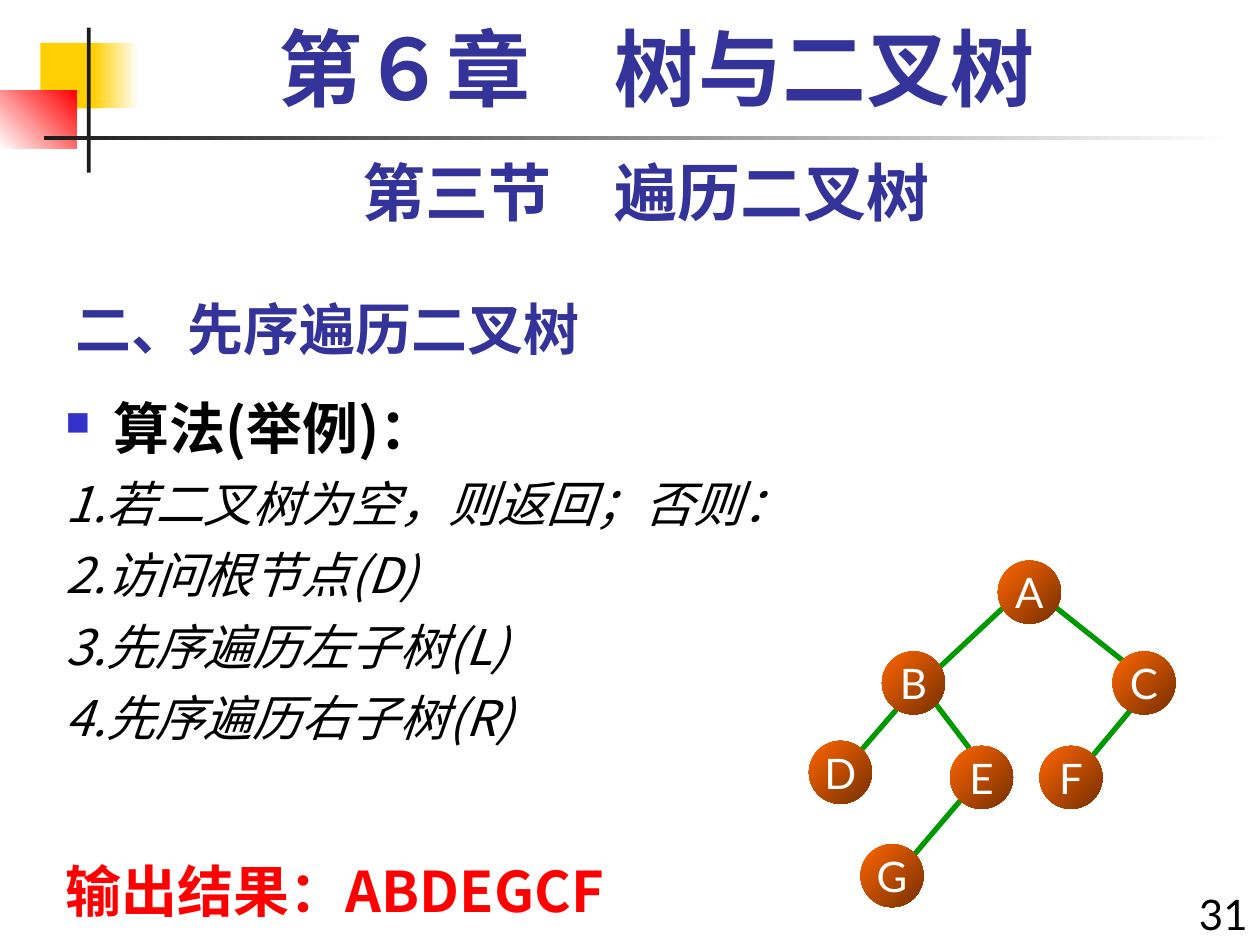
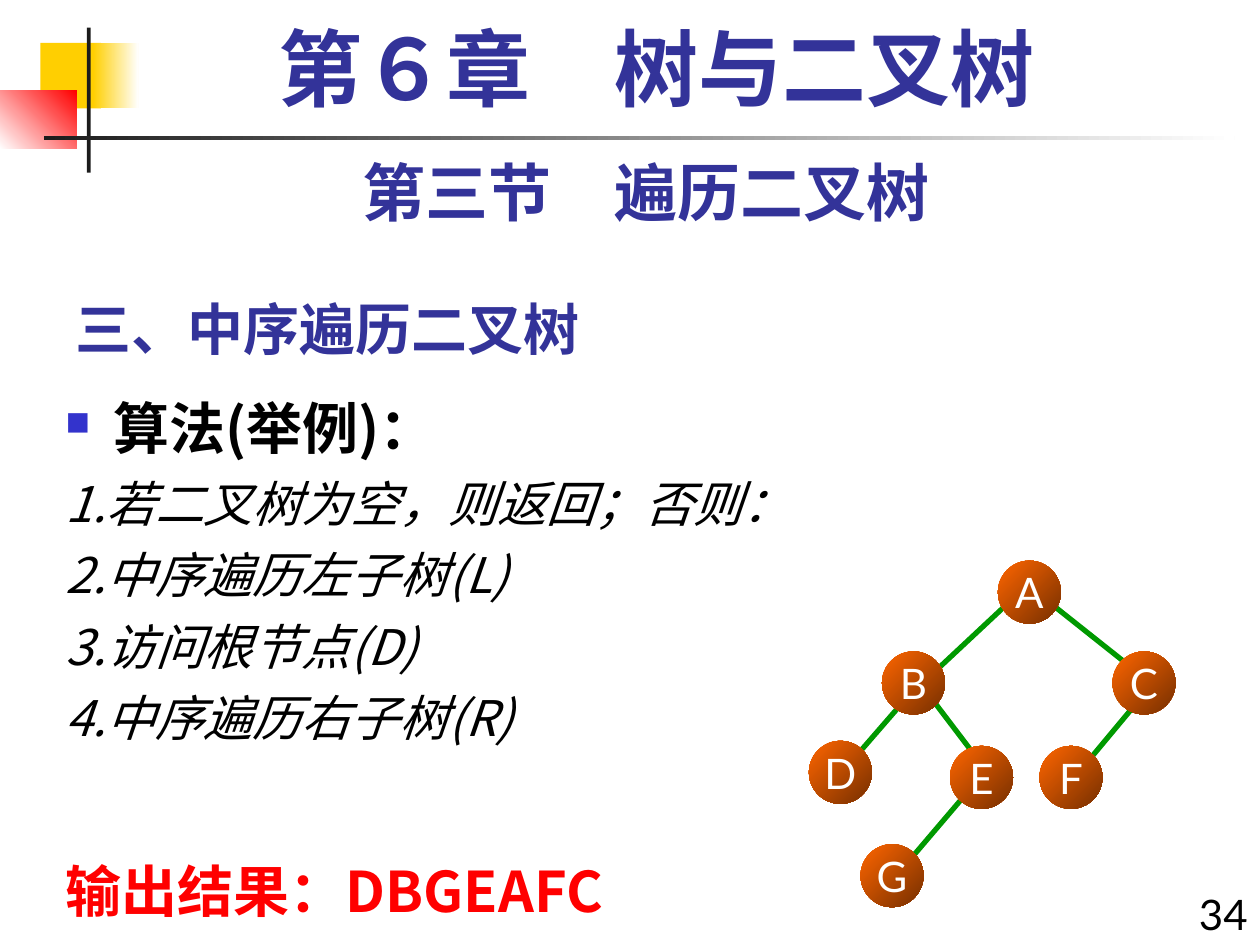
from dataclasses import dataclass

from lxml import etree
from pptx import Presentation
from pptx.dml.color import RGBColor
from pptx.enum.shapes import MSO_CONNECTOR, MSO_SHAPE
from pptx.enum.text import MSO_ANCHOR, PP_ALIGN
from pptx.oxml.ns import qn
from pptx.util import Inches, Pt

RECTANGLE = MSO_SHAPE.RECTANGLE
OVAL = MSO_SHAPE.OVAL
STRAIGHT = MSO_CONNECTOR.STRAIGHT
LEFT, CENTER, RIGHT = PP_ALIGN.LEFT, PP_ALIGN.CENTER, PP_ALIGN.RIGHT
TOP, MIDDLE, BOTTOM = MSO_ANCHOR.TOP, MSO_ANCHOR.MIDDLE, MSO_ANCHOR.BOTTOM


@dataclass(frozen=True)
class Theme:
    white: str = "FFFFFF"
    black: str = "000000"
    heading: str = "333399"
    bullet: str = "3333CC"
    result: str = "FF0000"
    yellow: str = "FFCF01"
    red: str = "FF0000"
    rule: str = "1C1C1C"
    edge: str = "009900"
    node_light: str = "FF6600"
    node_dark: str = "762F00"
    font: str = "Lato"
    body_font: str = "Noto Sans CJK SC"
    chapter_font: str = "Times New Roman"
    chapter_size: int = 48
    section_size: int = 36
    heading_size: int = 32
    step_size: int = 28
    small_size: int = 24
    line_factor: float = 1.08


THEME = Theme()
CHAPTER = "第６章　树与二叉树"
SECTION = "第三节　遍历二叉树"
TREE_BOX = (6.42, 4.45, 2.91, 2.75)
NODE_SIZE = 0.5
# Left and top of each node, relative to the tree box
NODES = {
    "A": (1.5, 0), "B": (0.58, 0.72), "C": (2.41, 0.72), "D": (0, 1.43),
    "E": (1.12, 1.47), "F": (1.83, 1.47), "G": (0.41, 2.25),
}
# Start and end of each edge, relative to the tree box
EDGES = [
    ((1.87, 0.3), (2.5, 0.8)), ((1.62, 0.3), (1, 0.88)),
    ((0.87, 0.98), (0.41, 1.51)), ((0.91, 1.01), (1.29, 1.51)),
    ((2.7, 1.01), (2.25, 1.55)), ((1.29, 1.8), (0.83, 2.34)),
]
TRAVERSALS = [
    {"heading": "二、先序遍历二叉树", "page": "31", "result": "ABDEGCF",
     "steps": ["访问根节点(D)", "先序遍历左子树(L)", "先序遍历右子树(R)"]},
    {"heading": "三、中序遍历二叉树", "page": "34", "result": "DBGEAFC",
     "steps": ["中序遍历左子树(L)", "访问根节点(D)", "中序遍历右子树(R)"]},
]


def write_text(paragraph, text, *, size, color=THEME.black, font=THEME.font,
               bold=False, italic=False, align=LEFT, line_spacing=None, space_before=0):
    paragraph.alignment = align
    paragraph.space_before = Pt(space_before)
    if line_spacing is not None:
        paragraph.line_spacing = line_spacing
    run = paragraph.add_run()
    run.text = text
    run.font.size = Pt(size)
    run.font.bold = bold
    run.font.italic = italic
    run.font.name = font
    run.font.color.rgb = RGBColor.from_string(color)
    east_asian = etree.Element(qn("a:ea"), typeface=THEME.font)
    run.font._element.find(qn("a:latin")).addnext(east_asian)


def add_text_box(slide, box, anchor=TOP):
    text_box = slide.shapes.add_textbox(*map(Inches, box))
    text_box.text_frame.word_wrap = True
    text_box.text_frame.vertical_anchor = anchor
    return text_box.text_frame


def add_line_of_text(slide, box, text, anchor=TOP, **text_format):
    write_text(add_text_box(slide, box, anchor).paragraphs[0], text, **text_format)


def add_filled_shape(shapes, kind, box, colors, angle=0):
    """Fill with one colour, or with a gradient at a counterclockwise angle for two."""
    shape = shapes.add_shape(kind, *map(Inches, box))
    shape.shadow.inherit = False
    shape.line.fill.background()
    if len(colors) == 1:
        shape.fill.solid()
        shape.fill.fore_color.rgb = RGBColor.from_string(colors[0])
    else:
        shape.fill.gradient()
        shape.fill.gradient_angle = angle
        for stop, color in zip(shape.fill.gradient_stops, colors):
            stop.color.rgb = RGBColor.from_string(color)
    return shape


def add_corner_decoration(slide):
    for box, colors, angle in [
        ((0.32, 0.34, 0.48, 0.52), [THEME.yellow], 0),
        ((0.74, 0.34, 0.36, 0.52), [THEME.yellow, THEME.white], 0),
        ((0, 0.72, 0.61, 0.46), [THEME.white, THEME.red], 45),
        ((0.69, 0.22, 0.03, 1.15), [THEME.rule], 0),
        ((0.35, 1.08, 9.45, 0.03), [THEME.rule, THEME.white], 0),
    ]:
        add_filled_shape(slide.shapes, RECTANGLE, box, colors, angle)


def add_titles(slide, heading, page):
    title_format = {"color": THEME.heading, "bold": True}
    add_line_of_text(slide, (0.5, 2.17, 6.25, 0.75), heading, BOTTOM,
                     size=THEME.heading_size, font=THEME.body_font, **title_format)
    add_line_of_text(slide, (9.33, 7, 0.67, 0.59), page,
                     size=THEME.small_size, align=RIGHT)
    add_line_of_text(slide, (0.5, 1.17, 9.25, 0.7), SECTION,
                     size=THEME.section_size, align=CENTER, **title_format)
    add_line_of_text(slide, (0.67, 0.17, 9.08, 0.83), CHAPTER,
                     size=THEME.chapter_size, font=THEME.chapter_font,
                     align=CENTER, line_spacing=0.9, **title_format)


def set_bullet(paragraph):
    """Give the paragraph a hanging indent and a small square bullet."""
    properties = paragraph._p.get_or_add_pPr()
    properties.set("marL", str(Inches(0.38)))
    properties.set("indent", str(-Inches(0.38)))
    color = etree.SubElement(properties, qn("a:buClr"))
    etree.SubElement(color, qn("a:srgbClr"), val=THEME.bullet)
    etree.SubElement(properties, qn("a:buSzPct"), val="60000")
    etree.SubElement(properties, qn("a:buChar"), char="■")


def add_algorithm(slide, box, steps, result):
    frame = add_text_box(slide, box)
    frame.margin_top = Inches(0.1)

    def write_line(paragraph, text, size, **text_format):
        write_text(paragraph, text, size=size, font=THEME.body_font,
                   line_spacing=Pt(size * THEME.line_factor), **text_format)

    set_bullet(frame.paragraphs[0])
    write_line(frame.paragraphs[0], "算法(举例)：", THEME.heading_size, bold=True)
    for number, step in enumerate(["若二叉树为空，则返回；否则：", *steps], 1):
        write_line(frame.add_paragraph(), f"{number}.{step}", THEME.step_size,
                   italic=True, space_before=10.5)
    write_line(frame.add_paragraph(), f"输出结果：{result}", THEME.heading_size,
               color=THEME.result, bold=True, space_before=67)


def add_edge(shapes, start, end):
    edge = shapes.add_connector(STRAIGHT, *map(Inches, (*start, *end)))
    edge.line.color.rgb = RGBColor.from_string(THEME.edge)
    edge.line.width = Pt(3)
    etree.SubElement(edge._element.spPr, qn("a:effectLst"))


def add_node(shapes, box, label):
    node = add_filled_shape(shapes, OVAL, box, [THEME.node_light, THEME.node_dark], 315)
    frame = node.text_frame
    frame.margin_left = frame.margin_right = 0
    frame.word_wrap = False
    frame.vertical_anchor = MIDDLE
    write_text(frame.paragraphs[0], label, size=THEME.small_size,
               color=THEME.white, align=CENTER)


def add_tree(slide, box):
    left, top = box[:2]
    shapes = slide.shapes.add_group_shape().shapes
    for edge in EDGES:
        add_edge(shapes, *((left + x, top + y) for x, y in edge))
    for label, (x, y) in NODES.items():
        add_node(shapes, (left + x, top + y, NODE_SIZE, NODE_SIZE), label)


def add_traversal_slide(presentation, heading, page, steps, result):
    slide = presentation.slides.add_slide(presentation.slide_layouts[6])
    add_corner_decoration(slide)
    add_titles(slide, heading, page)
    add_algorithm(slide, (0.42, 3.08, 9.58, 4.42), steps, result)
    add_tree(slide, TREE_BOX)


def main():
    presentation = Presentation()
    presentation.slide_width = Inches(10)
    presentation.slide_height = Inches(7.5)
    for traversal in TRAVERSALS:
        add_traversal_slide(presentation, **traversal)
    presentation.save("out.pptx")


if __name__ == "__main__":
    main()
